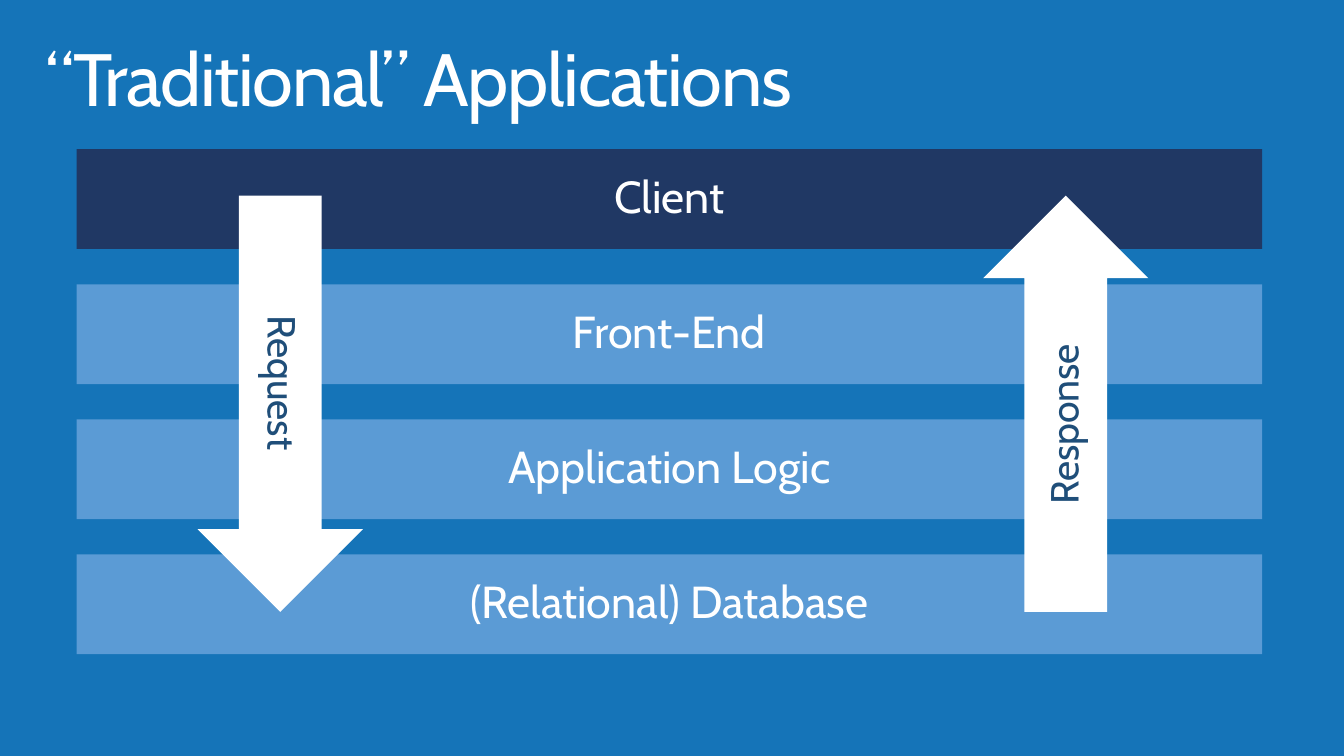
from pptx import Presentation
from pptx.dml.color import RGBColor
from pptx.enum.shapes import MSO_SHAPE
from pptx.enum.text import MSO_ANCHOR, MSO_AUTO_SIZE, PP_ALIGN
from pptx.util import Inches, Pt

BLUE = RGBColor(0x15, 0x74, 0xB8)
NAVY = RGBColor(0x20, 0x38, 0x64)
SKY = RGBColor(0x5B, 0x9B, 0xD5)
INK = RGBColor(0x1F, 0x4E, 0x79)
WHITE = RGBColor(0xFF, 0xFF, 0xFF)

LAYERS = [
    ("Client", NAVY),
    ("Front-End", SKY),
    ("Application Logic", SKY),
    ("(Relational) Database", SKY),
]
LAYER_TOP, LAYER_PITCH = 1.48, 1.34
ARROWS = [("Request", 1.96, 0), ("Response", 9.75, 180)]


class LayerSlide:
    """Holds the text style and the current page, and adds its elements."""

    font_name = "Cabin"
    line_spacing = 0.9

    def __init__(self, deck):
        self.page = deck.slides.add_slide(deck.slide_layouts[5])
        fill = self.page.background.fill
        fill.solid()
        fill.fore_color.rgb = BLUE

    def label(self, box, text, size, color, align, anchor, margins):
        frame = box.text_frame
        side, end = (Inches(margin) for margin in margins)
        frame_format = {
            "word_wrap": True,
            "auto_size": MSO_AUTO_SIZE.NONE,
            "vertical_anchor": anchor,
            "margin_left": side,
            "margin_right": side,
            "margin_top": end,
            "margin_bottom": end,
        }
        for name, value in frame_format.items():
            setattr(frame, name, value)
        para = frame.paragraphs[0]
        para.alignment = align
        para.line_spacing = self.line_spacing
        span = para.add_run()
        span.text = text
        for name, value in {"name": self.font_name, "size": Pt(size)}.items():
            setattr(span.font, name, value)
        span.font.color.rgb = color
        return span

    def title(self, text):
        box = self.page.shapes.title
        place = {"left": 0.29, "top": 0.32, "width": 12.62, "height": 0.98}
        for name, value in place.items():
            setattr(box, name, Inches(value))
        span = self.label(box, text, 52.9, WHITE, PP_ALIGN.LEFT,
                          MSO_ANCHOR.TOP, (0.16, 0.1))
        span.font._element.set("spc", "-100")

    def block(self, kind, place, fill, text, size, color, anchor):
        box = self.page.shapes.add_shape(kind, *map(Inches, place))
        box.shadow.inherit = False
        box.fill.solid()
        box.fill.fore_color.rgb = fill
        box.line.fill.background()
        self.label(box, text, size, color, PP_ALIGN.CENTER, anchor, (0.2, 0.16))
        return box

    def layer(self, text, top, fill):
        self.block(MSO_SHAPE.RECTANGLE, (0.76, top, 11.76, 0.99), fill,
                   text, 32, WHITE, MSO_ANCHOR.MIDDLE)

    def arrow(self, text, left, rotation):
        box = self.block(MSO_SHAPE.DOWN_ARROW, (left, 1.94, 1.64, 4.13), WHITE,
                         text, 28, INK, MSO_ANCHOR.TOP)
        box.rotation = rotation
        box.text_frame._txBody.bodyPr.set("vert", "vert")


def main():
    deck = Presentation()
    deck.slide_width = Inches(13.33)
    deck.slide_height = Inches(7.5)
    slide = LayerSlide(deck)
    slide.title("“Traditional” Applications")
    for index, (text, fill) in enumerate(LAYERS):
        slide.layer(text, LAYER_TOP + index * LAYER_PITCH, fill)
    for text, left, rotation in ARROWS:
        slide.arrow(text, left, rotation)
    deck.save("out.pptx")


if __name__ == "__main__":
    main()
